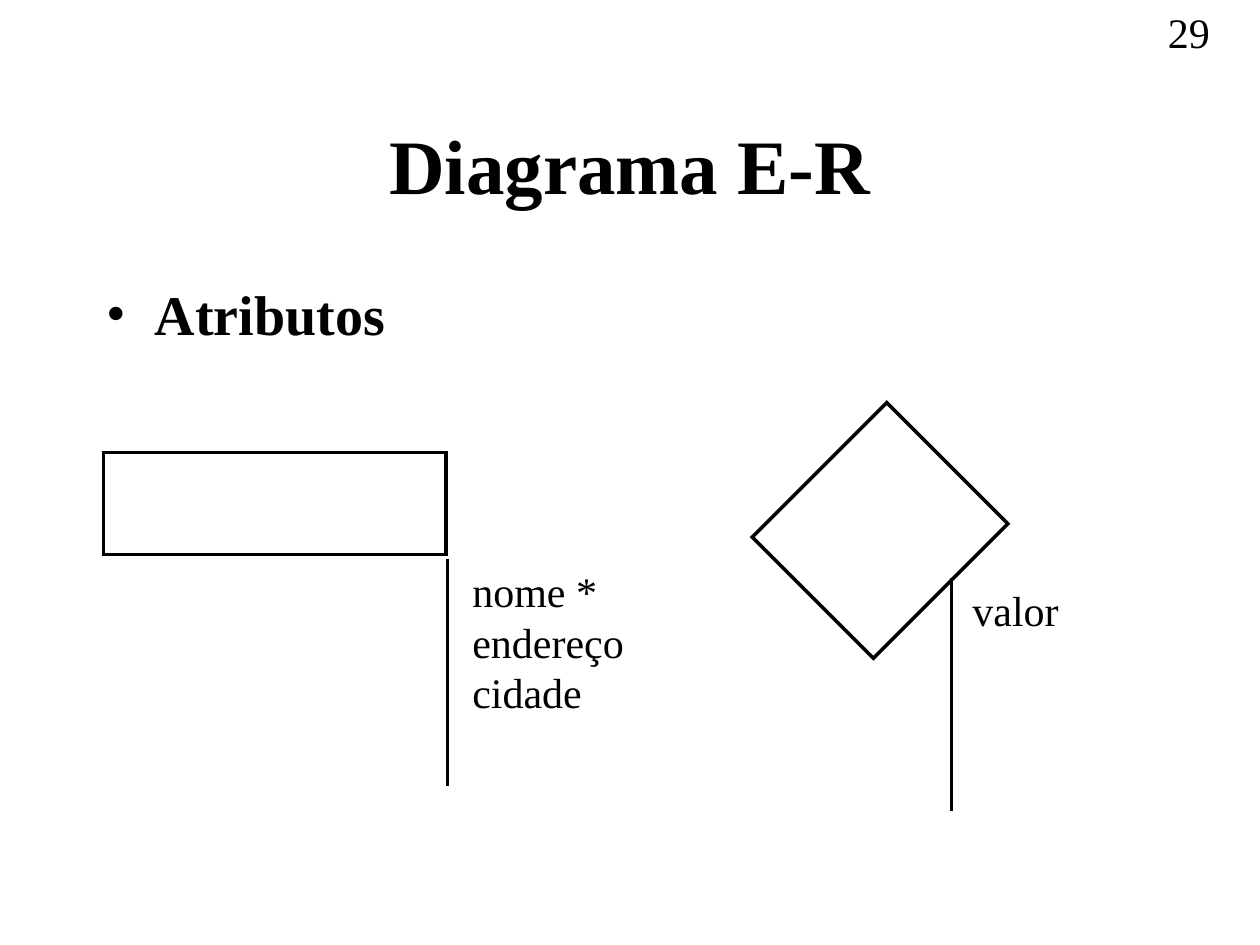
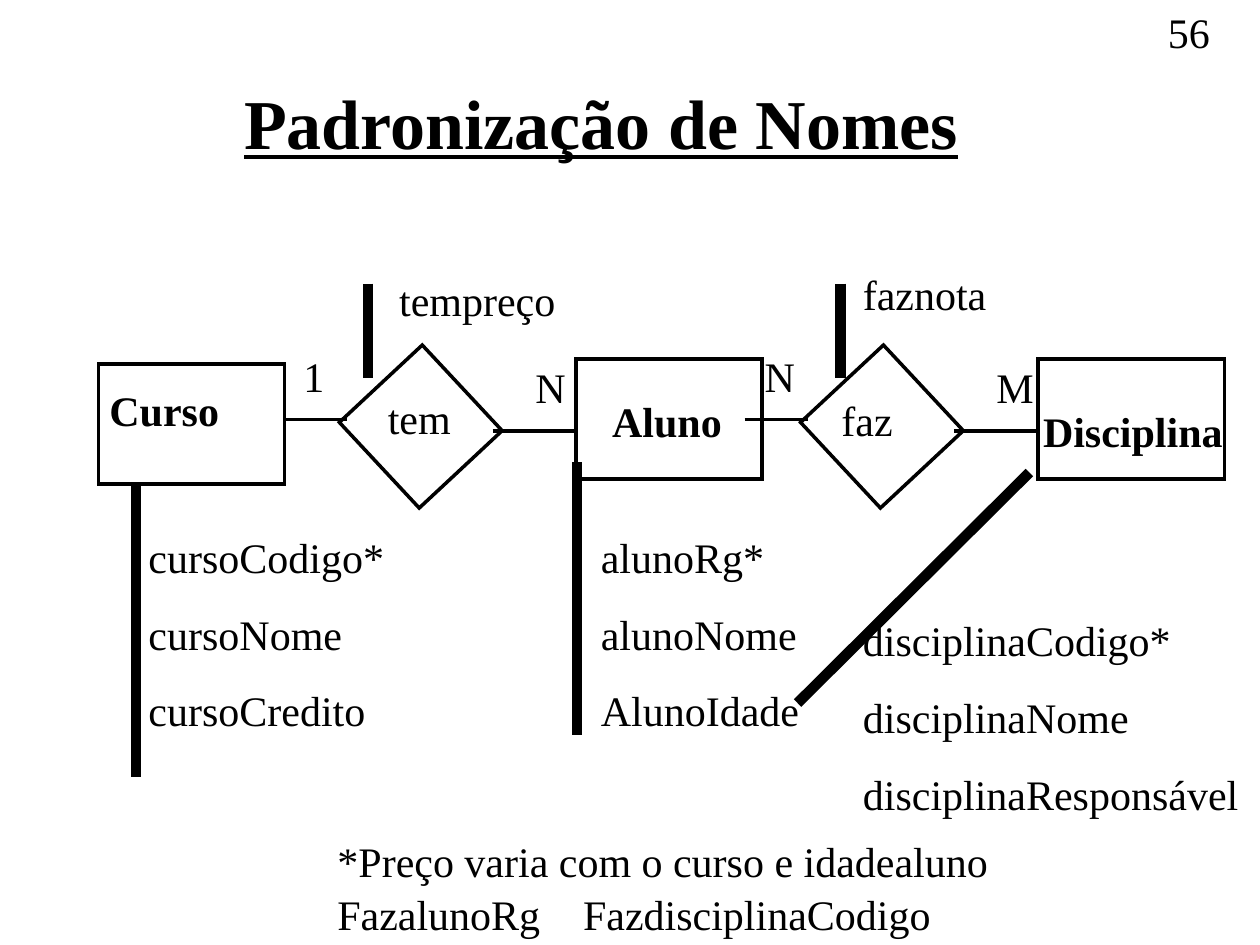
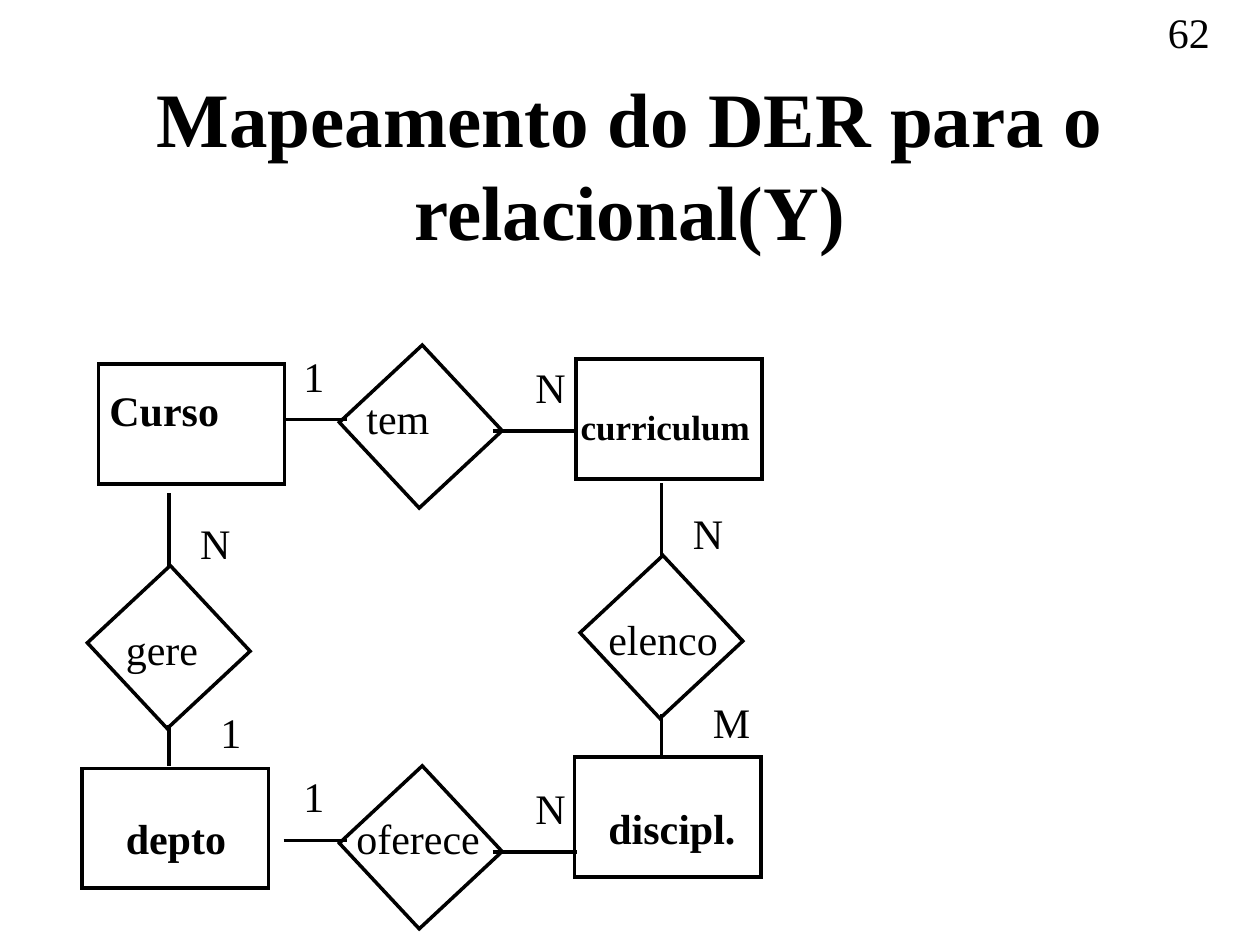
from lxml.etree import SubElement
from pptx import Presentation
from pptx.dml.color import RGBColor
from pptx.enum.shapes import MSO_CONNECTOR, MSO_SHAPE
from pptx.enum.text import MSO_ANCHOR, MSO_AUTO_SIZE, PP_ALIGN
from pptx.oxml.ns import qn
from pptx.util import Pt

PX = 9144  # 100 px to the inch
BLACK = RGBColor(0, 0, 0)
WHITE = RGBColor(255, 255, 255)
FONT = "Times New Roman"
TITLE_BOX = (75, 67, 850, 125)
ENTITY_SIZE = (148, 95)
DIAMOND_SIZE = (90, 93)
DIAMOND_TURN = 317
THIN, THICK = 2, 6
LINE_HEIGHT = 50
FOOTNOTE_WIDTH = 700
CARDINALITY_WIDTH = {"1": 37, "N": 44, "M": 50}


def emu(*lengths):
    return [length * PX for length in lengths]


def add_text(page, box, lines, size=24, bold=False, underline=None, wrap=False,
             before=0, align=PP_ALIGN.LEFT, anchor=MSO_ANCHOR.TOP, grow=True):
    """Add a text box with one paragraph for each line; return its paragraphs."""
    frame = page.shapes.add_textbox(*emu(*box)).text_frame
    frame.word_wrap = wrap
    frame.auto_size = MSO_AUTO_SIZE.SHAPE_TO_FIT_TEXT if grow else MSO_AUTO_SIZE.NONE
    frame.vertical_anchor = anchor
    frame.text = "\n".join(lines)
    for para in frame.paragraphs:
        para.alignment = align
        para.space_before = Pt(before)
        font = para.font
        font.name, font.size, font.bold = FONT, Pt(size), bold
        font.underline = underline
        font.color.rgb = BLACK
    return frame.paragraphs


def add_label(page, x, y, width, text, **style):
    return add_text(page, (x, y, width, LINE_HEIGHT), [text], **style)


def add_line(page, start, end, weight=THIN):
    line = page.shapes.add_connector(MSO_CONNECTOR.STRAIGHT, *emu(*start, *end))
    line.line.color.rgb = BLACK
    line.line.width = Pt(weight)
    SubElement(line._element.spPr, qn("a:effectLst"))


def add_outline(page, box, turn=0):
    """Add an unfilled rectangle with sharp corners."""
    shape = page.shapes.add_shape(MSO_SHAPE.RECTANGLE, *emu(*box))
    shape.rotation = turn
    shape.shadow.inherit = False
    shape.fill.background()
    shape.line.color.rgb = BLACK
    shape.line.width = Pt(THIN)
    SubElement(shape._element.spPr.find(qn("a:ln")), qn("a:miter"), lim="800000")


def add_entity(page, x, y, name, width, offset, size=24):
    add_outline(page, (x, y, *ENTITY_SIZE))
    add_label(page, x + offset[0], y + offset[1], width, name, size=size, bold=True)


def add_relation(page, x, y, name, width, offset, cardinalities, line_ends, places):
    """Add a diamond, its name, its two lines and their cardinalities."""
    add_outline(page, (x, y, *DIAMOND_SIZE), DIAMOND_TURN)
    for (left, top), (right, bottom) in line_ends:
        add_line(page, (x + left, y + top), (x + right, y + bottom))
    add_label(page, x + offset[0], y + offset[1], width, name)
    for cardinality, (dx, dy) in zip(cardinalities, places):
        add_label(page, x + dx, y + dy, CARDINALITY_WIDTH[cardinality], cardinality)


def add_row_relation(page, x, y, name, width, offset, cardinalities):
    add_relation(page, x, y, name, width, offset, cardinalities,
                 [((-64, 41), (-14, 41)), ((102, 50), (169, 50))],
                 [(-58, -19), (126, -10)])


def add_column_relation(page, x, y, name, width, offset, cardinalities):
    add_relation(page, x, y, name, width, offset, cardinalities,
                 [((45, -17), (45, -76)), ((45, 108), (45, 141))],
                 [(60, -61), (76, 89)])


def add_attributes(page, box, names):
    add_text(page, box, names, wrap=True, before=15)


def add_title(page, text):
    add_text(page, TITLE_BOX, [text], size=44, bold=True, wrap=True,
             align=PP_ALIGN.CENTER, anchor=MSO_ANCHOR.MIDDLE, grow=False)


def add_bullet(para, indent):
    props = para._p.get_or_add_pPr()
    props.set("marL", str(indent * PX))
    props.set("indent", str(-indent * PX))
    bullet_font = SubElement(props, qn("a:buFont"), typeface=FONT)
    bullet = SubElement(props, qn("a:buChar"), char="•")
    # The schema wants bullets ahead of the default run properties.
    defaults = props.find(qn("a:defRPr"))
    if defaults is not None:
        defaults.addprevious(bullet_font)
        defaults.addprevious(bullet)


def add_tab_stop(para, position):
    props = para._p.get_or_add_pPr()
    stops = SubElement(props, qn("a:tabLst"))
    SubElement(stops, qn("a:tab"), pos=str(position * PX), algn="l")
    defaults = props.find(qn("a:defRPr"))
    if defaults is not None:
        defaults.addprevious(stops)


def add_page(deck, number):
    page = deck.slides.add_slide(deck.slide_layouts[6])
    page.background.fill.solid()
    page.background.fill.fore_color.rgb = WHITE
    add_label(page, 917, 0, 83, str(number), wrap=True, before=15)
    return page


def build_attributes_page(deck):
    page = add_page(deck, 29)
    add_title(page, "Diagrama E-R")
    [topic] = add_text(page, (75, 217, 850, 450), ["Atributos"], size=32, bold=True,
                       wrap=True, before=8, grow=False)
    add_bullet(topic, 38)
    add_outline(page, (623, 353, 151, 136), 315)
    add_outline(page, (82, 359, 272, 81))
    add_line(page, (355, 444), (355, 624))
    add_line(page, (755, 459), (755, 644))
    add_text(page, (365, 444, 149, 130), ["nome *", "endereço", "cidade"])
    add_label(page, 762, 459, 97, "valor")


def build_naming_page(deck):
    page = add_page(deck, 56)
    add_text(page, (184, 58, 587, 77), ["Padronização de Nomes"],
             size=40, bold=True, underline=True)

    add_entity(page, 78, 289, "Curso", 107, (-1, 11))
    add_entity(page, 457, 285, "Aluno", 107, (19, 24))
    add_entity(page, 824, 285, "Disciplina", 163, (-6, 32))
    add_row_relation(page, 289, 292, "tem", 70, (9, 15), "1N")
    add_row_relation(page, 655, 292, "faz", 61, (3, 16), "NM")

    add_attributes(page, (108, 417, 258, 172),
                   ["cursoCodigo*", "cursoNome", "cursoCredito"])
    add_attributes(page, (467, 417, 200, 172), ["alunoRg*", "alunoNome", "AlunoIdade"])
    add_attributes(page, (675, 483, 325, 172),
                   ["disciplinaCodigo*", "disciplinaNome", "disciplinaResponsável"])
    add_label(page, 307, 213, 144, "tempreço")
    add_label(page, 675, 208, 118, "faznota")
    attribute_bars = [
        ((108, 383), (108, 617)),
        ((458, 367), (458, 583)),
        ((817, 375), (633, 558)),
        ((292, 225), (292, 300)),
        ((667, 225), (667, 300)),
    ]
    for start, end in attribute_bars:
        add_line(page, start, end, THICK)

    add_label(page, 258, 658, FOOTNOTE_WIDTH, "*Preço varia com o curso e idadealuno",
              wrap=True)
    [keys] = add_label(page, 258, 700, FOOTNOTE_WIDTH,
                       "FazalunoRg\tFazdisciplinaCodigo", wrap=True)
    add_tab_stop(keys, 195)


def build_mapping_page(deck):
    page = add_page(deck, 62)
    add_title(page, "Mapeamento do DER para o relacional(Y)")

    add_entity(page, 78, 289, "Curso", 107, (-1, 11))
    add_entity(page, 457, 285, "curriculum", 155, (-6, 32), size=20)
    add_entity(page, 456, 601, "discipl.", 121, (17, 31))
    add_entity(page, 65, 610, "depto", 100, (25, 30))

    add_row_relation(page, 289, 292, "tem", 70, (-8, 15), "1N")
    add_row_relation(page, 289, 626, "oferece", 118, (-16, 14), "1N")
    add_column_relation(page, 480, 459, "elenco", 107, (-7, 23), "NM")
    add_column_relation(page, 89, 467, "gere", 78, (1, 23), "N1")


def main():
    deck = Presentation()
    deck.slide_width, deck.slide_height = emu(1000, 750)
    build_attributes_page(deck)
    build_naming_page(deck)
    build_mapping_page(deck)
    deck.save("out.pptx")


if __name__ == "__main__":
    main()
